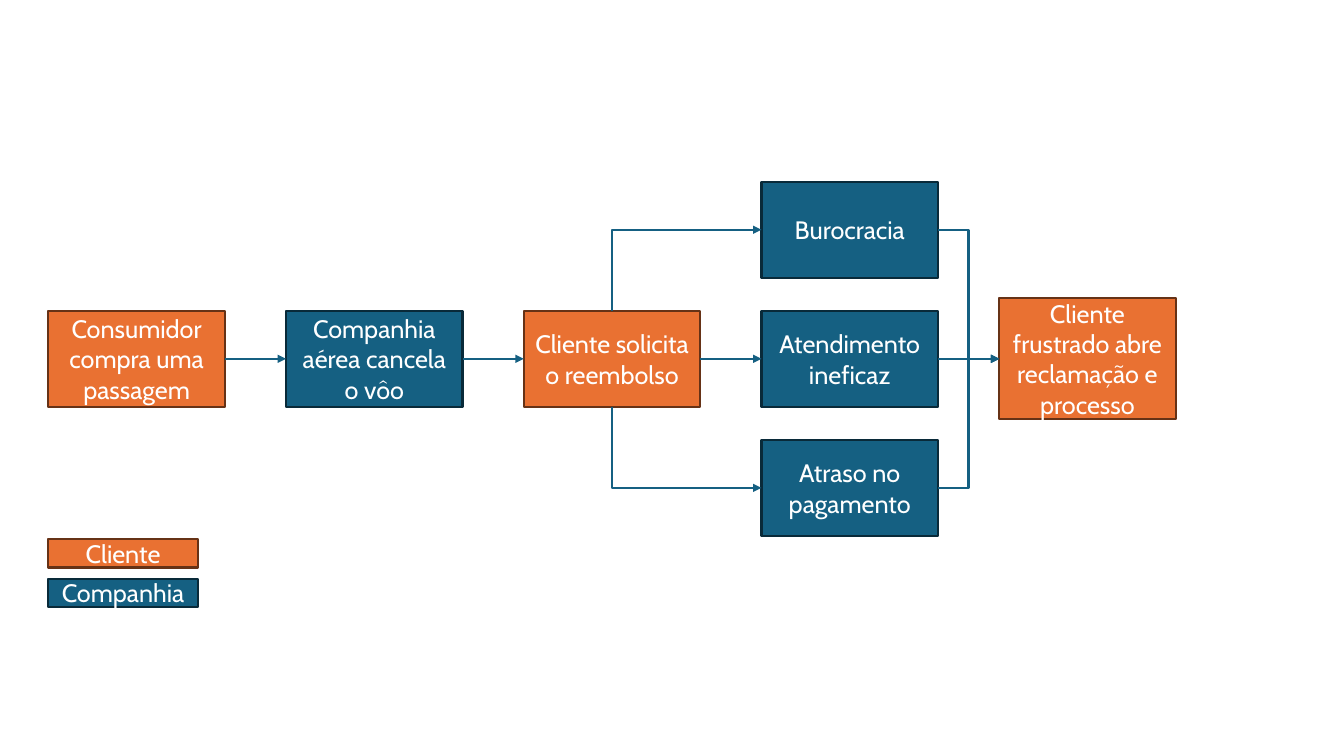
from dataclasses import dataclass

from lxml.etree import SubElement
from pptx import Presentation
from pptx.dml.color import RGBColor
from pptx.enum.shapes import MSO_CONNECTOR as Link, MSO_SHAPE as Shape
from pptx.enum.text import MSO_ANCHOR as Anchor, PP_ALIGN as Align
from pptx.oxml.ns import qn
from pptx.shapes.autoshape import Shape as Box
from pptx.shapes.connector import Connector
from pptx.shapes.shapetree import SlideShapes
from pptx.util import Inches, Pt


@dataclass(frozen=True)
class Role:
    fill: RGBColor
    line: RGBColor


@dataclass(frozen=True)
class Theme:
    client: Role = Role(RGBColor(0xE9, 0x71, 0x32), RGBColor(0x66, 0x32, 0x16))
    airline: Role = Role(RGBColor(0x15, 0x60, 0x82), RGBColor(0x09, 0x2A, 0x39))
    text: RGBColor = RGBColor(0xFF, 0xFF, 0xFF)
    font: str = "Cabin"
    size: Pt = Pt(18)
    stroke: Pt = Pt(1.5)


@dataclass(frozen=True)
class Step:
    """A box in the flow; row 0 is the middle row."""
    key: str
    text: str
    role: Role
    col: int
    row: int = 0
    height: float = 0.95


THEME = Theme()
TOP, LEFT, BOTTOM, RIGHT = range(4)

MARGIN = 0.48
COL_PITCH = (9.91 - MARGIN) / 4
MIDDLE, ROW_PITCH = 3.56, 1.28
STEP_WIDTH = 1.75
LEGEND_TOP, LEGEND_PITCH = 5.35, 0.39
LEGEND_WIDTH, LEGEND_HEIGHT = 1.48, 0.28

STEPS = [
    Step("purchase", "Consumidor compra uma passagem", THEME.client, 0),
    Step("cancel", "Companhia aérea cancela o vôo", THEME.airline, 1),
    Step("service", "Atendimento ineficaz", THEME.airline, 3),
    Step("refund", "Cliente solicita o reembolso", THEME.client, 2),
    Step("bureaucracy", "Burocracia", THEME.airline, 3, -1),
    Step("delay", "Atraso no pagamento", THEME.airline, 3, 1),
    Step("complaint", "Cliente frustrado abre reclamação e processo",
         THEME.client, 4, height=1.2),
]
SIDE_LINKS = [
    ("purchase", "cancel", Link.STRAIGHT),
    ("cancel", "refund", Link.STRAIGHT),
    ("refund", "service", Link.STRAIGHT),
    ("delay", "complaint", Link.ELBOW),
    ("bureaucracy", "complaint", Link.ELBOW),
    ("service", "complaint", Link.STRAIGHT),
]
CORNER_LINKS = [("refund", "bureaucracy"), ("refund", "delay")]
LEGEND = [("Cliente", THEME.client), ("Companhia", THEME.airline)]


def add_box(shapes: SlideShapes, text: str, role: Role, left: float,
            top: float, width: float, height: float) -> Box:
    sp = shapes.add_shape(Shape.RECTANGLE, Inches(left), Inches(top),
                          Inches(width), Inches(height))
    sp.shadow.inherit = False
    sp.fill.solid()
    sp.fill.fore_color.rgb = role.fill
    sp.line.color.rgb = role.line
    sp.line.width = THEME.stroke
    tf = sp.text_frame
    tf.word_wrap = True
    tf.vertical_anchor = Anchor.MIDDLE
    p = tf.paragraphs[0]
    p.text = text
    p.alignment = Align.CENTER
    p.font.name = THEME.font
    p.font.size = THEME.size
    p.font.color.rgb = THEME.text
    return sp


def add_step(shapes: SlideShapes, step: Step) -> Box:
    left = MARGIN + step.col * COL_PITCH
    top = MIDDLE + step.row * ROW_PITCH - step.height / 2
    return add_box(shapes, step.text, step.role, left, top,
                   STEP_WIDTH, step.height)


def style_arrow(cxn: Connector) -> None:
    cxn.line.color.rgb = THEME.airline.fill
    cxn.line.width = THEME.stroke
    SubElement(cxn.line._get_or_add_ln(), qn("a:tailEnd"), type="triangle")
    SubElement(cxn._element.spPr, qn("a:effectLst"))


def link_sides(shapes: SlideShapes, start: Box, end: Box, kind: Link) -> None:
    """Join the right side of one box to the left side of the next."""
    cxn = shapes.add_connector(kind, 0, 0, 0, 0)
    cxn.begin_connect(start, RIGHT)
    cxn.end_connect(end, LEFT)
    style_arrow(cxn)


def link_corner(shapes: SlideShapes, start: Box, end: Box) -> None:
    """Leave the top or bottom of a box and turn once into a left side."""
    x1, x2 = start.left + start.width // 2, end.left
    y2 = end.top + end.height // 2
    upward = y2 < start.top
    y1 = start.top if upward else start.top + start.height
    # The one-bend preset starts sideways, so it is laid out turned and rotated.
    cx, cy = (x1 + x2) // 2, (y1 + y2) // 2
    half_w = abs(y2 - y1) // 2
    half_h = (x2 - x1) // 2 * (1 if upward else -1)
    cxn = shapes.add_connector(Link.ELBOW, cx + half_w, cy + half_h,
                               cx - half_w, cy - half_h)
    sp_pr = cxn._element.spPr
    sp_pr.find(qn("a:xfrm")).set("rot", str((90 if upward else 270) * 60000))
    sp_pr.find(qn("a:prstGeom")).set("prst", "bentConnector2")
    style_arrow(cxn)


def main() -> None:
    prs = Presentation()
    prs.slide_width, prs.slide_height = Inches(13.33), Inches(7.5)
    shapes = prs.slides.add_slide(prs.slide_layouts[6]).shapes

    boxes = {step.key: add_step(shapes, step) for step in STEPS}
    for start, end, kind in SIDE_LINKS:
        link_sides(shapes, boxes[start], boxes[end], kind)
    for start, end in CORNER_LINKS:
        link_corner(shapes, boxes[start], boxes[end])
    for i, (text, role) in enumerate(LEGEND):
        add_box(shapes, text, role, MARGIN, LEGEND_TOP + i * LEGEND_PITCH,
                LEGEND_WIDTH, LEGEND_HEIGHT)

    prs.save("out.pptx")


if __name__ == "__main__":
    main()
